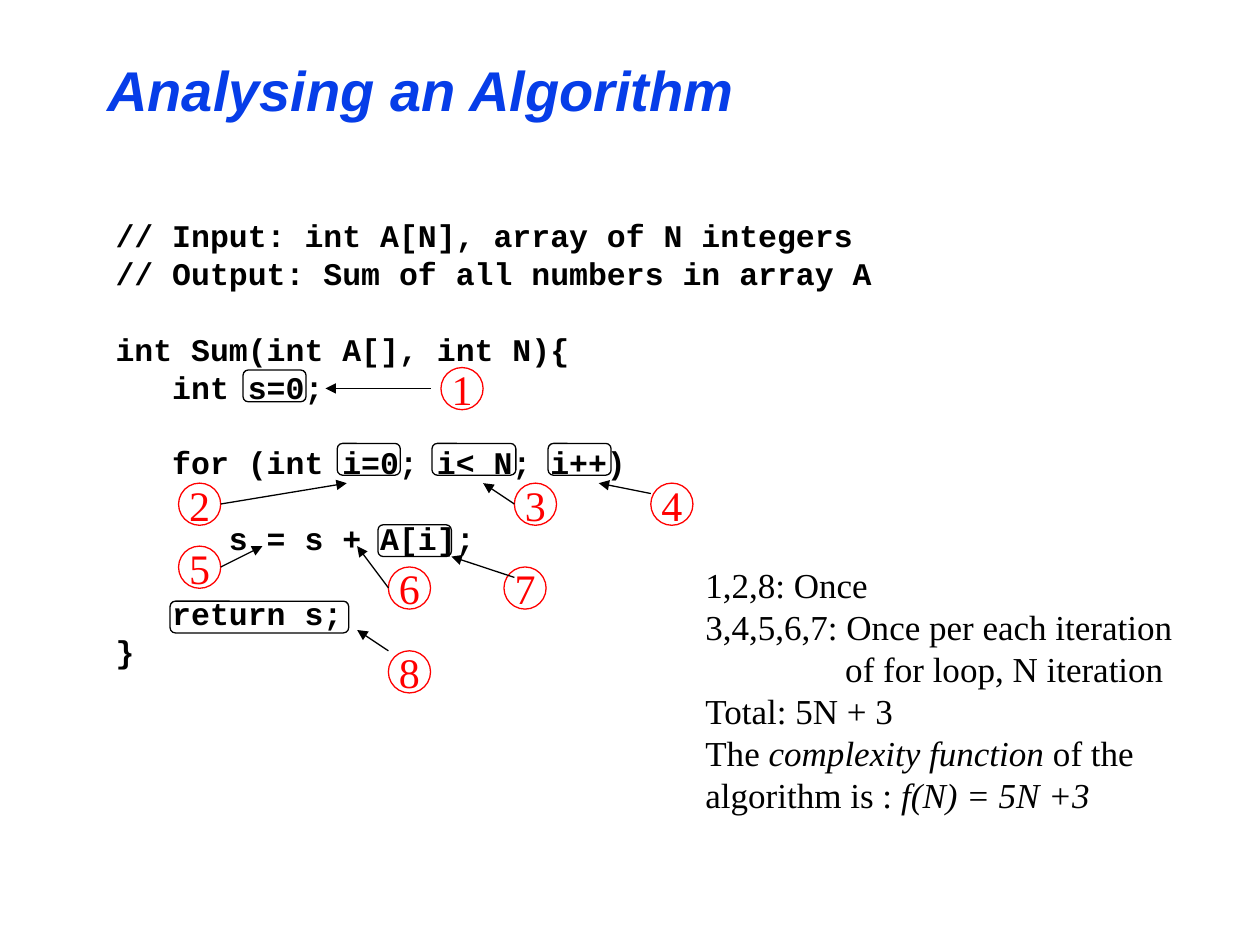
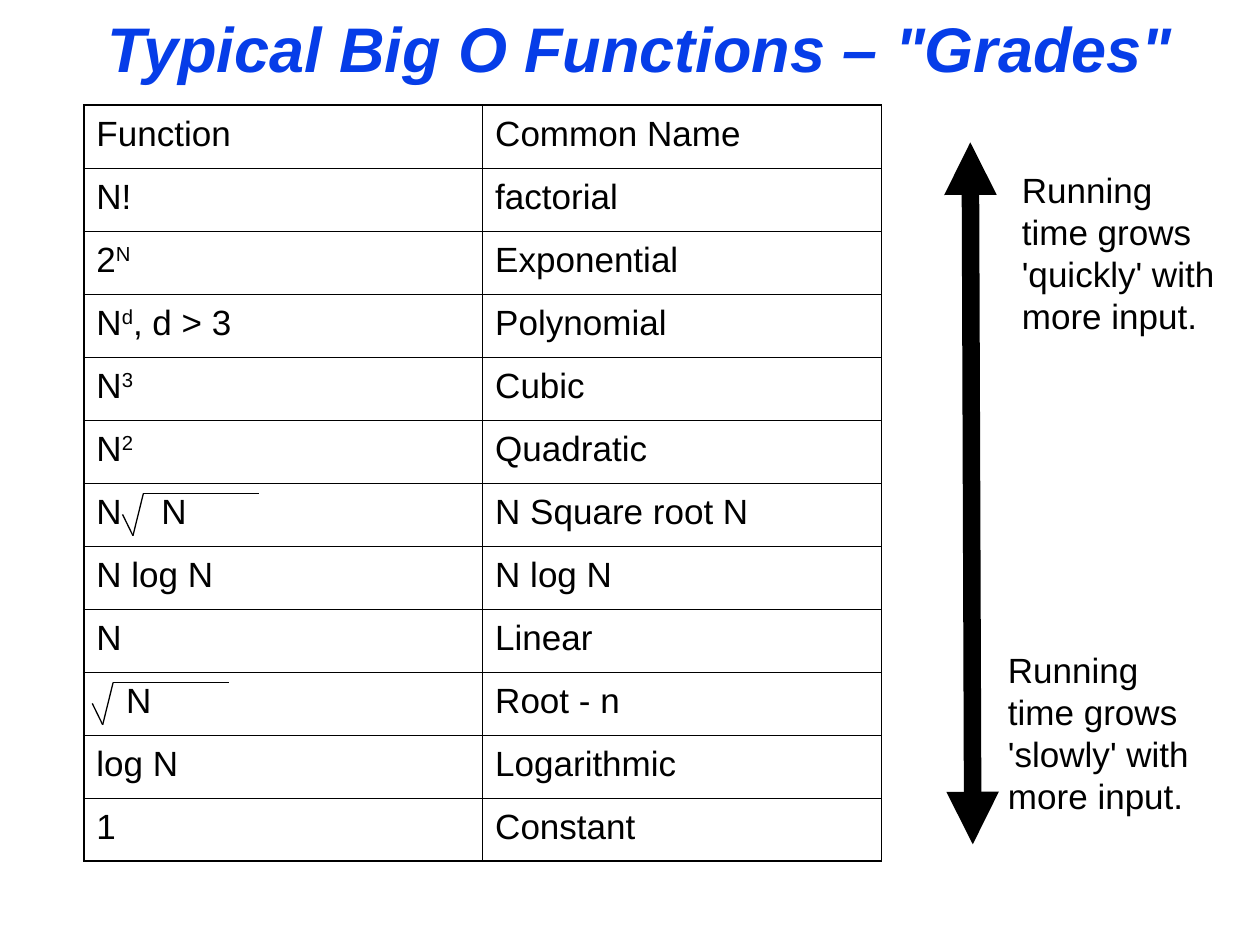
"""Build two slides on analysing an algorithm and on typical Big O functions."""
from itertools import pairwise

from lxml.etree import SubElement
from pptx import Presentation
from pptx.dml.color import RGBColor
from pptx.enum.shapes import MSO_CONNECTOR, MSO_SHAPE
from pptx.enum.text import MSO_ANCHOR, MSO_AUTO_SIZE, PP_ALIGN
from pptx.oxml.ns import qn
from pptx.util import Cm, Pt

BLUE = RGBColor(0x06, 0x3D, 0xE8)
BLACK = RGBColor(0x00, 0x00, 0x00)
RED = RGBColor(0xFF, 0x00, 0x00)
STRAIGHT = MSO_CONNECTOR.STRAIGHT
ROUNDED = MSO_SHAPE.ROUNDED_RECTANGLE
OVAL = MSO_SHAPE.OVAL
MIDDLE = MSO_ANCHOR.MIDDLE
NO_AUTOFIT = MSO_AUTO_SIZE.NONE
LEFT = PP_ALIGN.LEFT
CENTER = PP_ALIGN.CENTER

TITLE_FORMAT = {"name": "Arial", "bold": True, "italic": True}
CODE_FORMAT = {"name": "Courier New", "size": Pt(18), "bold": True}
SERIF_FORMAT = {"name": "Times New Roman", "size": Pt(20)}
NUMBER_FORMAT = {"name": "Times New Roman", "size": Pt(24)}
SANS_FORMAT = {"name": "Arial", "size": Pt(20), "bold": False}
CODE_LEADING = Pt(21.6)
TEXT_LEADING = Pt(24)
THIN = 0.75

TITLES = [
    ("Analysing an Algorithm", 32, (1.91, 0.84, 21.59, 1.9)),
    ("Typical Big O Functions – \"Grades\"", 36, (1.91, -0.64, 23.5, 3.18)),
]

CODE = """// Input: int A[N], array of N integers
// Output: Sum of all numbers in array A

int Sum(int A[], int N){
   int s=0;

   for (int i=0; i< N; i++)

      s = s + A[i];

   return s;
}"""

CODE_FRAMES = [
    (3.43, 12.12, 3.6),
    (4.9, 7.46, 1.27),
    (6.8, 8.94, 1.27),
    (7.62, 10.58, 1.48),
    (8.71, 8.94, 1.69),
    (11.05, 8.94, 1.27),
]

STEPS = [
    ((8.89, 7.41), (8.68, 7.83), (6.56, 7.83)),
    ((3.6, 9.74), (4.45, 10.16), (6.99, 9.74)),
    ((10.37, 9.74), (10.37, 10.16), (9.74, 9.74)),
    ((13.12, 9.74), (13.12, 9.95), (12.07, 9.74)),
    ((3.6, 11.01), (4.45, 11.43), (5.29, 11.01)),
    ((7.83, 11.43), (7.83, 11.85), (7.2, 11.01)),
    ((10.16, 11.43), (10.37, 11.64), (9.1, 11.22)),
    ((7.83, 13.12), (7.83, 13.12), (7.2, 12.7)),
]

COUNTS = [
    ("1,2,8: Once", 0),
    ("3,4,5,6,7: Once per each iteration", 0),
    ("of for loop, N iteration", 2.82),
    ("Total: 5N + 3", 0),
    ("The *complexity function* of the", 0),
    ("algorithm is : *f(N) = 5N +3*", 0),
]

FUNCTIONS = [
    ("Function", "Common Name"),
    ("N!", "factorial"),
    ("2*N*", "Exponential"),
    ("N*d*, d > 3", "Polynomial"),
    ("N*3*", "Cubic"),
    ("N*2*", "Quadratic"),
    ("N\tN", "N Square root N"),
    ("N log N", "N log N"),
    ("N", "Linear"),
    ("\tN", "Root - n"),
    ("log N", "Logarithmic"),
    ("1", "Constant"),
]
ROOT_TABS = {"N\tN": 1.31, "\tN": 0.6}
ROOT_ORIGINS = [(1.86, 13.76), (2.47, 9.95)]
ROOT_POINTS = [(0, 0.42), (0.21, 0.85), (0.42, 0), (2.75, 0)]

GROWTH_NOTES = [
    ("Running\ntime grows\n'slowly' with\nmore input.", 20.07, 12.95),
    ("Running\ntime grows\n'quickly' with\nmore input.", 20.35, 3.28),
]


def write(paragraph, text, color, formats, emphasis="italic"):
    """Add runs; pieces between asterisks get the emphasis."""
    for piece_index, piece in enumerate(text.split("*")):
        for line_index, line in enumerate(piece.split("\n")):
            if line_index:
                paragraph.add_line_break()
            if not line:
                continue
            run = paragraph.add_run()
            run.text = line
            run.font.color.rgb = color
            for name, value in formats.items():
                setattr(run.font, name, value)
            if piece_index % 2 and emphasis == "italic":
                run.font.italic = True
            elif piece_index % 2:
                run._r.get_or_add_rPr().set("baseline", "30000")


def add_line(slide, start, end, width, arrows=()):
    """Draw a black straight line with triangles at the named ends."""
    line = slide.shapes.add_connector(STRAIGHT, *map(Cm, start + end))
    line.line.color.rgb = BLACK
    line.line.width = Pt(width)
    properties = line._element.spPr
    for arrow in arrows:
        SubElement(properties.find(qn("a:ln")), qn(f"a:{arrow}"), type="triangle")
    SubElement(properties, qn("a:effectLst"))


presentation = Presentation()
presentation.slide_width = Cm(25.4)
presentation.slide_height = Cm(19.05)

for text, size, box in TITLES:
    slide = presentation.slides.add_slide(presentation.slide_layouts[5])
    title = slide.shapes.title
    title.left, title.top, title.width, title.height = map(Cm, box)
    frame = title.text_frame
    frame.auto_size = NO_AUTOFIT
    frame.vertical_anchor = MIDDLE
    frame.paragraphs[0].alignment = LEFT
    write(frame.paragraphs[0], text, BLUE, TITLE_FORMAT | {"size": Pt(size)})

algorithm_slide, functions_slide = presentation.slides

code_box = algorithm_slide.shapes.add_textbox(Cm(2.08), Cm(4.24), Cm(16.2), Cm(10.16))
frame = code_box.text_frame
frame.word_wrap = True
paragraph = frame.paragraphs[0]
for block_index, block in enumerate(CODE.split("\n\n")):
    for line_index, line in enumerate(block.split("\n")):
        if block_index or line_index:
            paragraph = frame.add_paragraph()
        if block_index and not line_index:
            paragraph.space_before = CODE_LEADING
        paragraph.line_spacing = CODE_LEADING
        write(paragraph, line, BLACK, CODE_FORMAT)

for left, top, width in CODE_FRAMES:
    code_frame = algorithm_slide.shapes.add_shape(ROUNDED, Cm(left), Cm(top), Cm(width), Cm(0.64))
    code_frame.shadow.inherit = False
    code_frame.fill.background()
    code_frame.line.color.rgb = BLACK
    code_frame.line.width = Pt(THIN)

for number, (corner, start, end) in enumerate(STEPS, 1):
    circle = algorithm_slide.shapes.add_shape(OVAL, *map(Cm, corner), Cm(0.85), Cm(0.85))
    circle.shadow.inherit = False
    circle.fill.background()
    circle.line.color.rgb = RED
    circle.line.width = Pt(THIN)
    frame = circle.text_frame
    frame.word_wrap = False
    frame.vertical_anchor = MIDDLE
    frame.paragraphs[0].alignment = CENTER
    write(frame.paragraphs[0], str(number), RED, NUMBER_FORMAT)
    add_line(algorithm_slide, start, end, THIN, ["tailEnd"])

counts_box = algorithm_slide.shapes.add_textbox(Cm(13.97), Cm(11.23), Cm(10.3), Cm(5.33))
frame = counts_box.text_frame
frame.word_wrap = True
for index, (text, indent) in enumerate(COUNTS):
    paragraph = frame.add_paragraph() if index else frame.paragraphs[0]
    paragraph.line_spacing = TEXT_LEADING
    if indent:
        paragraph._p.get_or_add_pPr().set("marL", str(Cm(indent)))
    write(paragraph, text, BLACK, SERIF_FORMAT)

table = functions_slide.shapes.add_table(
    len(FUNCTIONS), 2, Cm(1.69), Cm(2.12), Cm(16.08), Cm(1.27 * len(FUNCTIONS))
).table
table.first_row = False
table.horz_banding = False
last_row = len(FUNCTIONS) - 1
for row_index, row in enumerate(FUNCTIONS):
    for column_index, text in enumerate(row):
        cell = table.cell(row_index, column_index)
        outer_edges = {
            "lnL": column_index == 0,
            "lnR": column_index == 1,
            "lnT": row_index == 0,
            "lnB": row_index == last_row,
        }
        properties = cell._tc.get_or_add_tcPr()
        for edge, is_outer in outer_edges.items():
            border = SubElement(properties, qn(f"a:{edge}"), w=str(Pt(1.08 if is_outer else 0.45)))
            fill = SubElement(border, qn("a:solidFill"))
            SubElement(fill, qn("a:srgbClr"), val=str(BLACK))
        cell.fill.background()
        paragraph = cell.text_frame.paragraphs[0]
        if text in ROOT_TABS:
            tabs = SubElement(paragraph._p.get_or_add_pPr(), qn("a:tabLst"))
            SubElement(tabs, qn("a:tab"), pos=str(Cm(ROOT_TABS[text])), algn="l")
        paragraph.line_spacing = TEXT_LEADING
        write(paragraph, text, BLACK, SANS_FORMAT, "superscript")

for left, top in ROOT_ORIGINS:
    points = [(left + x, top + y) for x, y in ROOT_POINTS]
    for start, end in pairwise(points):
        add_line(functions_slide, start, end, THIN)

add_line(functions_slide, (19.61, 17.02), (19.56, 2.87), 10, ["headEnd", "tailEnd"])

for text, left, top in GROWTH_NOTES:
    note = functions_slide.shapes.add_textbox(Cm(left), Cm(top), Cm(4.5), Cm(3.66))
    note.text_frame.word_wrap = True
    paragraph = note.text_frame.paragraphs[0]
    paragraph.line_spacing = TEXT_LEADING
    write(paragraph, text, BLACK, SANS_FORMAT)

presentation.save("out.pptx")
